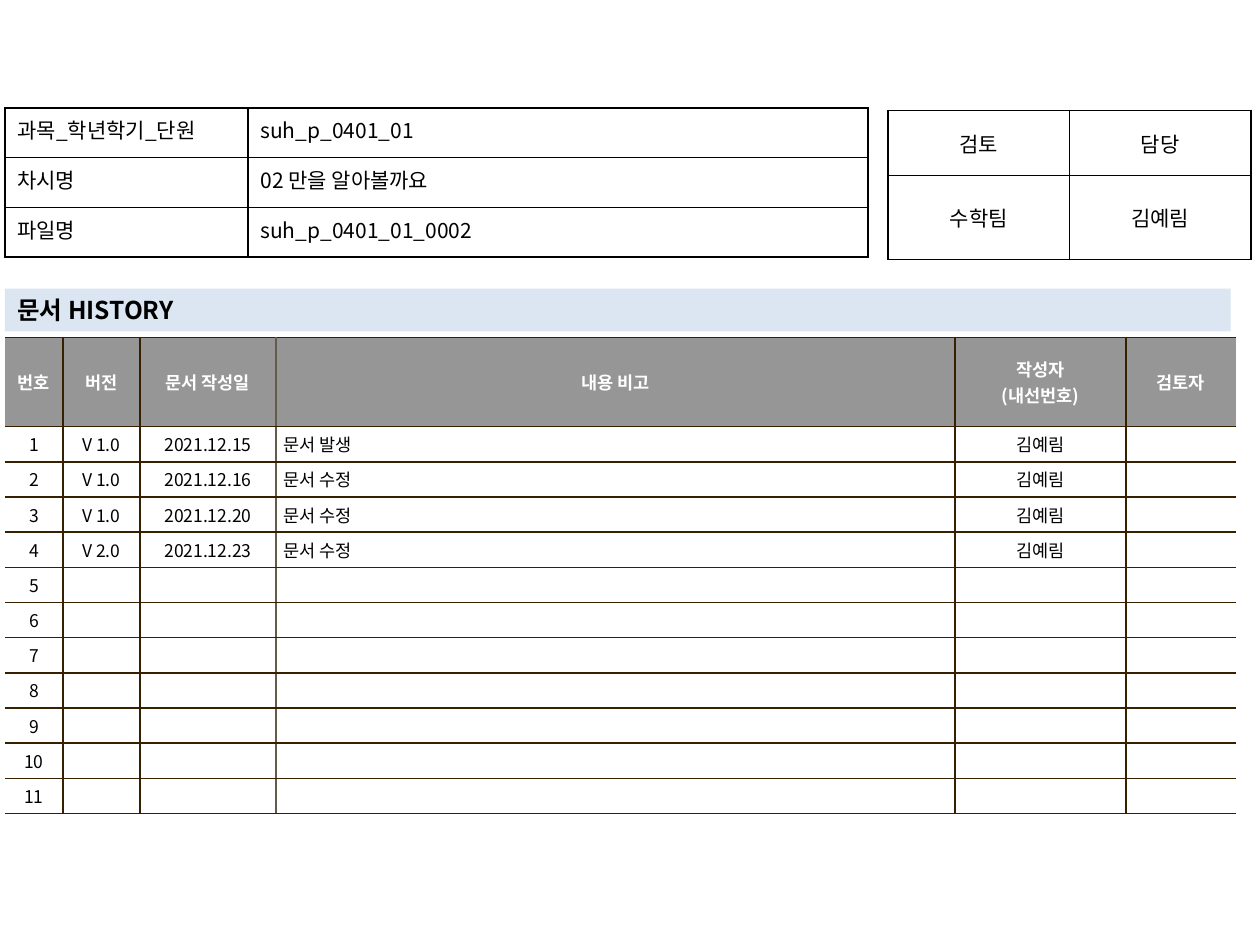
from lxml.etree import SubElement
from pptx import Presentation
from pptx.dml.color import RGBColor
from pptx.enum.shapes import MSO_SHAPE
from pptx.enum.text import MSO_ANCHOR, MSO_AUTO_SIZE, PP_ALIGN
from pptx.oxml.ns import qn
from pptx.util import Cm, Pt

FONT = "Noto Sans CJK KR"
COLORS = {
    "text": "000000",
    "white": "FFFFFF",
    "header": "969696",
    "banner": "DCE6F2",
    "rule": "362000",
    "memo_rule": "645B4C",
}
HEADERS = ["번호", "버전", "문서 작성일", "내용 비고", "작성자\n(내선번호)", "검토자"]
REVISIONS = [
    ("V 1.0", "2021.12.15", "문서 발생", "김예림"),
    ("V 1.0", "2021.12.16", "문서 수정", "김예림"),
    ("V 1.0", "2021.12.20", "문서 수정", "김예림"),
    ("V 2.0", "2021.12.23", "문서 수정", "김예림"),
]
HISTORY_ROWS = 11
MEMO_COL = 3
DOCUMENT_INFO = [
    ("과목_학년학기_단원", "suh_p_0401_01"),
    ("차시명", "02 만을 알아볼까요"),
    ("파일명", "suh_p_0401_01_0002"),
]
REVIEW = [("검토", "담당"), ("수학팀", "김예림")]


def rgb(name):
    return RGBColor.from_string(COLORS[name])


def add_text(tf, text, size, color="text", bold=False, align=PP_ALIGN.LEFT):
    for i, line in enumerate(text.split("\n")):
        p = tf.paragraphs[0] if i == 0 else tf.add_paragraph()
        p.alignment = align
        if not line:
            end = SubElement(p._p, qn("a:endParaRPr"))
            end.set("sz", str(size * 100))
            continue
        r = p.add_run()
        r.text = line
        r.font.size = Pt(size)
        r.font.bold = bold
        r.font.name = FONT
        r.font.color.rgb = rgb(color)
        SubElement(r._r.get_or_add_rPr(), qn("a:ea")).set("typeface", FONT)


def set_borders(cell, **sides):
    tcPr = cell._tc.get_or_add_tcPr()
    for side in "LRTB":
        color = sides[side]
        ln = SubElement(tcPr, qn(f"a:ln{side}"), w=str(Pt(1)))
        if color is None:
            SubElement(ln, qn("a:noFill"))
        else:
            fill = SubElement(ln, qn("a:solidFill"))
            SubElement(fill, qn("a:srgbClr"), val=COLORS[color])


def set_margins(cell, side, top):
    cell.margin_left = cell.margin_right = Cm(side)
    cell.margin_top = cell.margin_bottom = Cm(top)


def add_grid(s, left, top, widths, heights):
    frame = s.shapes.add_table(
        len(heights), len(widths), Cm(left), Cm(top), Cm(sum(widths)), Cm(sum(heights))
    )
    table = frame.table
    table.first_row = table.horz_banding = False
    for col, width in zip(table.columns, widths):
        col.width = Cm(width)
    for row, height in zip(table.rows, heights):
        row.height = Cm(height)
    return table


def add_boxed_table(s, left, top, widths, heights, rows, aligns, anchor):
    table = add_grid(s, left, top, widths, heights)
    for i, row in enumerate(rows):
        for j, text in enumerate(row):
            cell = table.cell(i, j)
            set_borders(cell, L="text", R="text", T="text", B="text")
            cell.fill.background()
            set_margins(cell, 0.25, 0.13)
            cell.vertical_anchor = anchor
            add_text(cell.text_frame, text, 12, align=aligns[j])


def add_history_table(s):
    widths = [1.17, 1.55, 2.74, 13.69, 3.45, 2.21]
    table = add_grid(s, 0.1, 6.8, widths, [1.8] + [0.63] * HISTORY_ROWS)
    rows = [HEADERS]
    for i in range(HISTORY_ROWS):
        revision = REVISIONS[i] if i < len(REVISIONS) else ("",) * 4
        rows.append([str(i + 1), *revision, ""])
    edges = [None, "rule", "rule", "memo_rule", "rule", "rule", None]
    for i, row in enumerate(rows):
        head = i == 0
        for j, text in enumerate(row):
            cell = table.cell(i, j)
            set_borders(cell, L=edges[j], R=edges[j + 1], T="rule", B="rule")
            cell.fill.solid()
            cell.fill.fore_color.rgb = rgb("header" if head else "white")
            set_margins(cell, 0.15, 0.1)
            cell.vertical_anchor = MSO_ANCHOR.MIDDLE
            memo = j == MEMO_COL and not head
            add_text(
                cell.text_frame, text, 10, "white" if head else "text", head,
                PP_ALIGN.LEFT if memo else PP_ALIGN.CENTER,
            )
            if memo and text:
                pPr = cell.text_frame.paragraphs[0]._p.get_or_add_pPr()
                pPr.set("marL", str(Cm(0.48)))
                pPr.set("indent", str(-Cm(0.48)))


def add_banner(s, text):
    sp = s.shapes.add_shape(MSO_SHAPE.RECTANGLE, Cm(0.1), Cm(5.82), Cm(24.71), Cm(0.86))
    sp.shadow.inherit = False
    sp.fill.solid()
    sp.fill.fore_color.rgb = rgb("banner")
    sp.line.fill.background()
    tf = sp.text_frame
    tf.word_wrap = True
    tf.auto_size = MSO_AUTO_SIZE.SHAPE_TO_FIT_TEXT
    tf.vertical_anchor = MSO_ANCHOR.TOP
    add_text(tf, text, 14, bold=True)


def main():
    prs = Presentation()
    prs.slide_width, prs.slide_height = Cm(25.4), Cm(19.05)
    s = prs.slides.add_slide(prs.slide_layouts[6])
    add_history_table(s)
    add_boxed_table(
        s, 17.9, 2.23, [3.66] * 2, [1.31, 1.69], REVIEW,
        [PP_ALIGN.CENTER] * 2, MSO_ANCHOR.MIDDLE,
    )
    add_banner(s, "문서 HISTORY")
    add_boxed_table(
        s, 0.1, 2.18, [4.9, 12.5], [1] * 3, DOCUMENT_INFO,
        [PP_ALIGN.JUSTIFY, PP_ALIGN.LEFT], MSO_ANCHOR.TOP,
    )
    prs.save("out.pptx")


if __name__ == "__main__":
    main()
